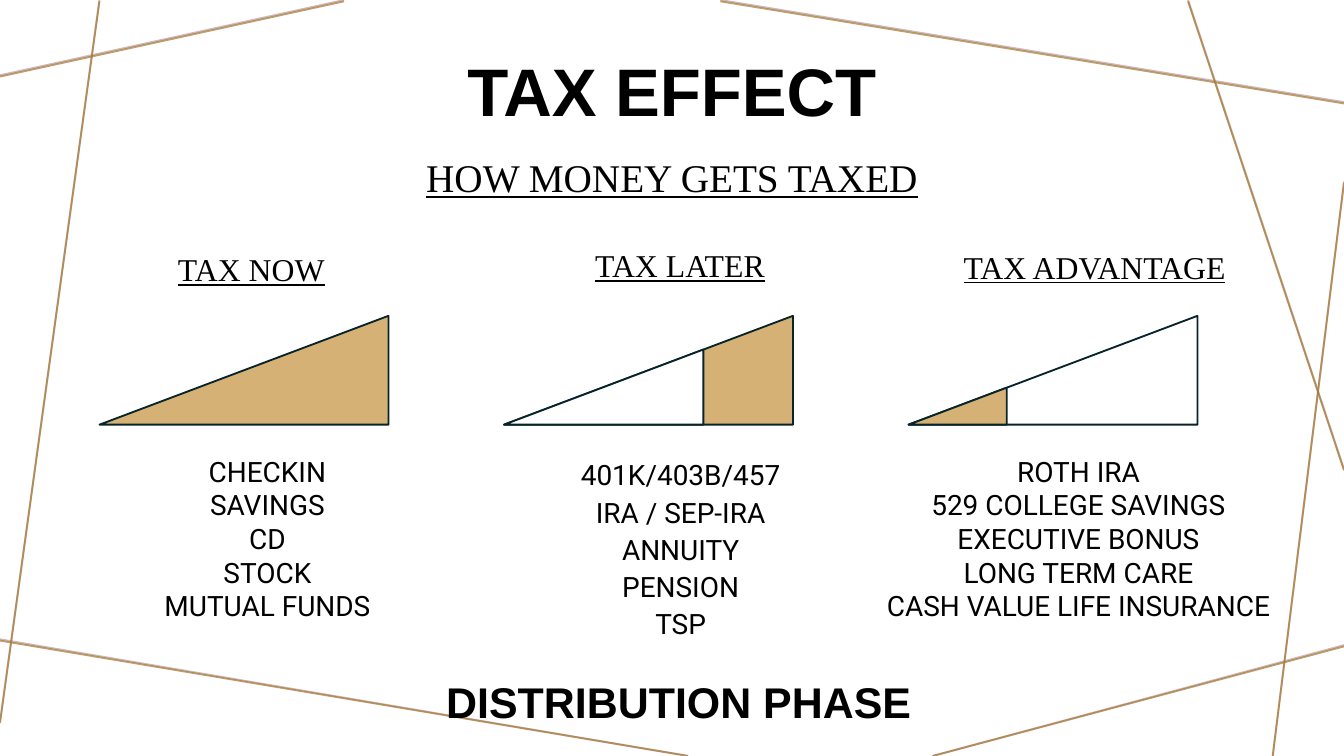
from lxml.etree import SubElement
from pptx import Presentation
from pptx.dml.color import RGBColor
from pptx.enum.shapes import MSO_CONNECTOR
from pptx.enum.text import MSO_AUTO_SIZE, PP_ALIGN
from pptx.oxml.ns import qn
from pptx.util import Inches, Pt

# The grid: 100 columns across the slide and 56.25 rows down it
CELL = Inches(0.1)
COLUMNS, ROWS = 100, 56.25

COLORS = {"gold_line": "A57931", "mauve_line": "BA9CA0", "taxed": "D6B175",
          "untaxed": "FFFFFF", "outline": "08242B", "text": "000000"}

FRAME_LINES = [(25.6, 0, 0, 5.6), (7.4, 0, 0, 53.7), (51.2, ROWS, -0.4, 47.5),
               (COLUMNS, 48, 69.4, ROWS), (COLUMNS, 13.5, 94.7, ROWS),
               (COLUMNS, 34.9, 88.4, 0), (COLUMNS, 7.6, 53.6, 0)]

# Triangles share one size and an equal pitch
TRIANGLE_LEFT, TRIANGLE_TOP, TRIANGLE_PITCH = 7.4, 23.5, 30.1
TRIANGLE_WIDTH, TRIANGLE_HEIGHT = 21.5, 8.1

# Heading box, outer fill, inner (share, fill), list box, line spacing, items
PHASES = [
    ("TAX NOW", (11.2, 18.2, 15, 3.9), "taxed", None,
     (8.5, 33.4, 22.8, 14.6), 1,
     ["CHECKIN", "SAVINGS", "CD", "STOCK", "MUTUAL FUNDS"]),
    ("TAX LATER", (43.1, 17.9, 15, 3.9), "taxed", (0.69, "untaxed"),
     (42.3, 33.4, 16.7, 15.9), 1.11,
     ["401K/403B/457", "IRA / SEP-IRA", "ANNUITY", "PENSION", "TSP"]),
    ("TAX ADVANTAGE", (70.1, 18, 22.7, 3.9), "untaxed", (0.34, "taxed"),
     (64.5, 33.4, 31.5, 17.4), 1,
     ["ROTH IRA", "529 COLLEGE SAVINGS", "EXECUTIVE BONUS", "LONG TERM CARE",
      "CASH VALUE LIFE INSURANCE"]),
]


def grid(*cells):
    return [round(cell * CELL) for cell in cells]


def color(name):
    return RGBColor.from_string(COLORS[name])


def add_text(page, box, lines, size, face, bold=None, underline=None,
             align=PP_ALIGN.CENTER, spacing=1):
    frame = page.shapes.add_textbox(*grid(*box)).text_frame
    frame.word_wrap = True
    frame.auto_size = MSO_AUTO_SIZE.SHAPE_TO_FIT_TEXT
    frame.margin_left = frame.margin_right = round(0.4 * CELL)
    frame.margin_top = frame.margin_bottom = round(0.4 * CELL)
    frame.text = "\n".join(lines)
    for para in frame.paragraphs:
        para.alignment = align
        para.line_spacing = spacing
        font = para.font
        font.name, font.size = face, Pt(size)
        font.bold, font.underline = bold, underline
        font.color.rgb = color("text")


def add_frame_lines(page, tint, drop):
    for x1, y1, x2, y2 in FRAME_LINES:
        ends = grid(x1, min(y1 + drop, ROWS), x2, min(y2 + drop, ROWS))
        line = page.shapes.add_connector(MSO_CONNECTOR.STRAIGHT, *ends)
        line.line.width = Pt(1)
        line.line.color.rgb = color(tint)
        properties = line._element.spPr
        # Let the background show through, and drop the theme shadow
        for solid in properties.iter(qn("a:srgbClr")):
            SubElement(solid, qn("a:alpha"), val="70000")
        SubElement(properties, qn("a:effectLst"))


def add_triangle(shapes, box, fill):
    left, top, width, height = grid(*box)
    right, bottom = left + width, top + height
    builder = shapes.build_freeform(right, bottom)
    builder.add_line_segments([(left, bottom), (right, top)], close=True)
    triangle = builder.convert_to_shape()
    triangle.shadow.inherit = False
    triangle.fill.solid()
    triangle.fill.fore_color.rgb = color(fill)
    triangle.line.color.rgb = color("outline")
    triangle.line.width = Pt(1)


def add_growth(page, box, fill, inner):
    if inner is None:
        add_triangle(page.shapes, box, fill)
        return
    left, top, width, height = box
    share, inner_fill = inner
    shapes = page.shapes.add_group_shape().shapes
    add_triangle(shapes, box, fill)
    add_triangle(shapes, (left, top + height * (1 - share),
                          width * share, height * share), inner_fill)


def add_phase(page, index, phase):
    heading, heading_box, fill, inner, list_box, spacing, items = phase
    left = TRIANGLE_LEFT + index * TRIANGLE_PITCH
    add_growth(page, (left, TRIANGLE_TOP, TRIANGLE_WIDTH, TRIANGLE_HEIGHT),
               fill, inner)
    add_text(page, list_box, items, 15, "Roboto", spacing=spacing)
    add_text(page, heading_box, [heading], 17, "Times New Roman",
             underline=True)


def main():
    deck = Presentation()
    deck.slide_width, deck.slide_height = grid(COLUMNS, ROWS)
    page = deck.slides.add_slide(deck.slide_layouts[6])

    # Decorative frame: each gold line lies just below a mauve one
    add_frame_lines(page, "mauve_line", 0)
    add_frame_lines(page, "gold_line", 0.1)

    # Titles
    add_text(page, (20.3, 3.3, 59.4, 6.4), ["TAX EFFECT"], 36, "Arial",
             bold=True)
    add_text(page, (32.8, 49.9, 35.7, 4.4), ["DISTRIBUTION PHASE"], 23,
             "Arial", bold=True, align=PP_ALIGN.LEFT)
    add_text(page, (27.7, 11, 44.6, 4.8), ["HOW MONEY GETS TAXED"], 21,
             "Times New Roman", underline=True)

    # Three ways of being taxed
    for index, phase in enumerate(PHASES):
        add_phase(page, index, phase)

    deck.save("out.pptx")


if __name__ == "__main__":
    main()
